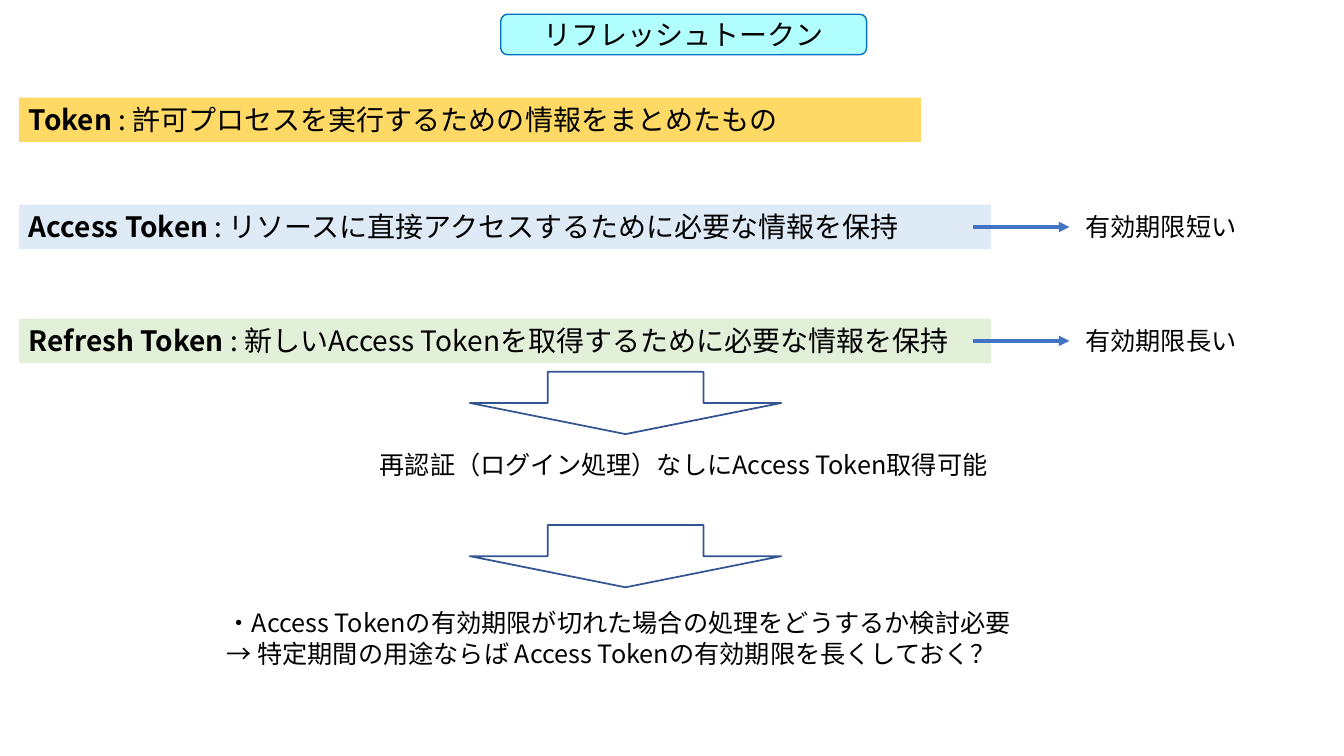
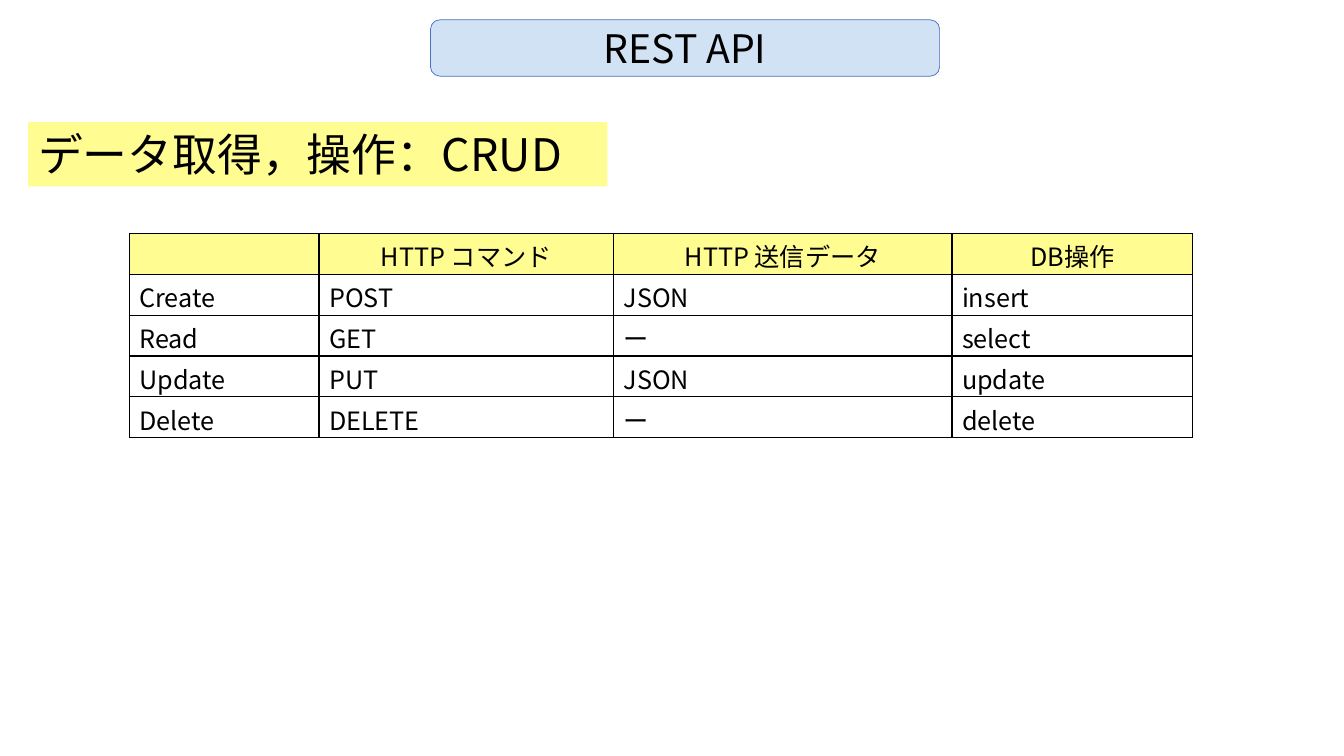
from lxml import etree
from pptx import Presentation
from pptx.dml.color import RGBColor
from pptx.enum.shapes import MSO_CONNECTOR, MSO_SHAPE
from pptx.enum.text import MSO_ANCHOR, MSO_AUTO_SIZE, PP_ALIGN
from pptx.oxml.ns import qn
from pptx.util import Cm, Pt

LEFT, CENTER = PP_ALIGN.LEFT, PP_ALIGN.CENTER
TOP, MIDDLE = MSO_ANCHOR.TOP, MSO_ANCHOR.MIDDLE
RECT, ROUNDED, DOWN_ARROW = MSO_SHAPE.RECTANGLE, MSO_SHAPE.ROUNDED_RECTANGLE, MSO_SHAPE.DOWN_ARROW
STRAIGHT = MSO_CONNECTOR.STRAIGHT

FONT = "Noto Sans CJK JP"
BLACK, WHITE, BLUE, NAVY, YELLOW = "000000", "FFFFFF", "4472C4", "325491", "FFFC91"

# Lengths are in centimetres
TOKENS = [  # term, meaning, lifetime, top, width, colour
    ("Token", "許可プロセスを実行するための情報をまとめたもの", None, 2.46, 22.73, "FFD966"),
    ("Access Token", "リソースに直接アクセスするために必要な情報を保持", "有効期限短い", 5.16, 24.49, "DEEBF7"),
    ("Refresh Token", "新しいAccess Tokenを取得するために必要な情報を保持", "有効期限長い", 8.03, 24.49, "E2F0D9"),
]
BAR_LEFT, BAR_HEIGHT = 0.48, 1.12
ARROW_START, ARROW_END = 24.51, 26.95
LIFETIME_LEFT, LIFETIME_WIDTH, LINE_HEIGHT = 27.1, 4.37, 1.02

CONSEQUENCES = [  # arrow top, text box, lines
    (9.37, (9.32, 11.2, 16.79, 1.02), ["再認証（ログイン処理）なしにAccess Token取得可能"]),
    (13.23, (5.46, 15.19, 20.65, 1.8), [
        "・Access Tokenの有効期限が切れた場合の処理をどうするか検討必要",
        "→ 特定期間の用途ならば Access Tokenの有効期限を長くしておく？",
    ]),
]

CRUD = [
    ("", "HTTP コマンド", "HTTP 送信データ", "DB操作"),
    ("Create", "POST", "JSON", "insert"),
    ("Read", "GET", "ー", "select"),
    ("Update", "PUT", "JSON", "update"),
    ("Delete", "DELETE", "ー", "delete"),
]
COLUMN_WIDTHS = [4.78, 7.42, 8.53, 6.07]
ROW_HEIGHT = 1.03


def rgb(value):
    return RGBColor.from_string(value)


def add_xml(parent, tag, **attributes):
    return etree.SubElement(parent, qn(tag), attributes)


def write(frame, lines, size=18, color=BLACK, align=LEFT, anchor=TOP):
    """Fill a text frame; a line is a string or a list of (text, bold) pairs."""
    frame.vertical_anchor = anchor
    for index, line in enumerate(lines):
        paragraph = frame.paragraphs[0] if index == 0 else frame.add_paragraph()
        paragraph.alignment = align
        for text, bold in [(line, False)] if isinstance(line, str) else line:
            run = paragraph.add_run()
            run.text = text
            font = run.font
            font.size, font.bold, font.name = Pt(size), bold, FONT
            font.color.rgb = rgb(color)
            add_xml(run._r.get_or_add_rPr(), "a:ea", typeface=FONT)


def add_box(slide, kind, box, fill, line=None, line_width=1, opacity=100):
    shape = slide.shapes.add_shape(kind, *map(Cm, box))
    shape.shadow.inherit = False
    shape.fill.solid()
    shape.fill.fore_color.rgb = rgb(fill)
    if opacity < 100:
        color = shape.fill._xPr.find(qn("a:solidFill"))[0]
        add_xml(color, "a:alpha", val=str(opacity * 1000))
    if line:
        shape.line.color.rgb = rgb(line)
        shape.line.width = Pt(line_width)
    else:
        shape.line.fill.background()
    return shape


def add_title(slide, text, box, size, **style):
    title = add_box(slide, ROUNDED, box, **style)
    write(title.text_frame, [text], size=size, align=CENTER, anchor=MIDDLE)


def add_bar(slide, line, box, fill, size):
    bar = add_box(slide, RECT, box, fill)
    bar.text_frame.word_wrap = True
    write(bar.text_frame, [line], size=size)


def add_note(slide, lines, box):
    frame = slide.shapes.add_textbox(*map(Cm, box)).text_frame
    frame.word_wrap = False
    frame.auto_size = MSO_AUTO_SIZE.SHAPE_TO_FIT_TEXT
    write(frame, lines)


def add_arrow(slide, y):
    arrow = slide.shapes.add_connector(STRAIGHT, Cm(ARROW_START), Cm(y), Cm(ARROW_END), Cm(y))
    arrow.line.color.rgb = rgb(BLUE)
    arrow.line.width = Pt(2.5)
    add_xml(arrow.line._get_or_add_ln(), "a:tailEnd", type="triangle")
    add_xml(arrow._element.spPr, "a:effectLst")


def add_borders(cell):
    properties = cell._tc.get_or_add_tcPr()
    for index, side in enumerate(("a:lnL", "a:lnR", "a:lnT", "a:lnB")):
        border = add_xml(properties, side, w=str(Pt(1)))
        add_xml(add_xml(border, "a:solidFill"), "a:srgbClr", val=BLACK)
        properties.insert(index, border)  # borders come before the fill


def add_crud_table(slide, left, top):
    size = sum(COLUMN_WIDTHS), ROW_HEIGHT * len(CRUD)
    table = slide.shapes.add_table(
        len(CRUD), len(COLUMN_WIDTHS), *map(Cm, (left, top, *size))).table
    table.first_row = table.horz_banding = False
    for column, width in zip(table.columns, COLUMN_WIDTHS):
        column.width = Cm(width)
    for r, values in enumerate(CRUD):
        table.rows[r].height = Cm(ROW_HEIGHT)
        for c, value in enumerate(values):
            cell = table.cell(r, c)
            cell.margin_top, cell.margin_bottom = Cm(0.11), Cm(0)
            cell.fill.solid()
            cell.fill.fore_color.rgb = rgb(WHITE if r else YELLOW)
            add_borders(cell)
            if value:
                write(cell.text_frame, [value], align=LEFT if r else CENTER)


def build_token_slide(slide):
    add_title(slide, "リフレッシュトークン", (12.62, 0.36, 9.22, 1.02), 20,
              fill="66FFFF", opacity=50, line="0070C0")
    for term, meaning, lifetime, top, width, color in TOKENS:
        add_bar(slide, [(term, True), (f" : {meaning}", False)],
                (BAR_LEFT, top, width, BAR_HEIGHT), color, 20)
        if lifetime:
            middle = top + BAR_HEIGHT / 2
            add_arrow(slide, middle)
            add_note(slide, [lifetime],
                     (LIFETIME_LEFT, middle - LINE_HEIGHT / 2, LIFETIME_WIDTH, LINE_HEIGHT))
    for arrow_top, box, lines in CONSEQUENCES:
        add_box(slide, DOWN_ARROW, (11.84, arrow_top, 7.85, 1.57), WHITE, NAVY, 1.25)
        add_note(slide, lines, box)


def build_rest_slide(slide):
    add_title(slide, "REST API", (10.85, 0.5, 12.83, 1.42), 28,
              fill="BDD7EE", opacity=70, line=BLUE, line_width=0.5)
    add_bar(slide, "データ取得，操作：CRUD", (0.71, 3.08, 14.6, 1.62), YELLOW, 32)
    add_crud_table(slide, 3.26, 5.88)


def main():
    deck = Presentation()
    deck.slide_width, deck.slide_height = Cm(33.87), Cm(19.05)
    for build in (build_token_slide, build_rest_slide):
        build(deck.slides.add_slide(deck.slide_layouts[6]))
    deck.save("out.pptx")


if __name__ == "__main__":
    main()
